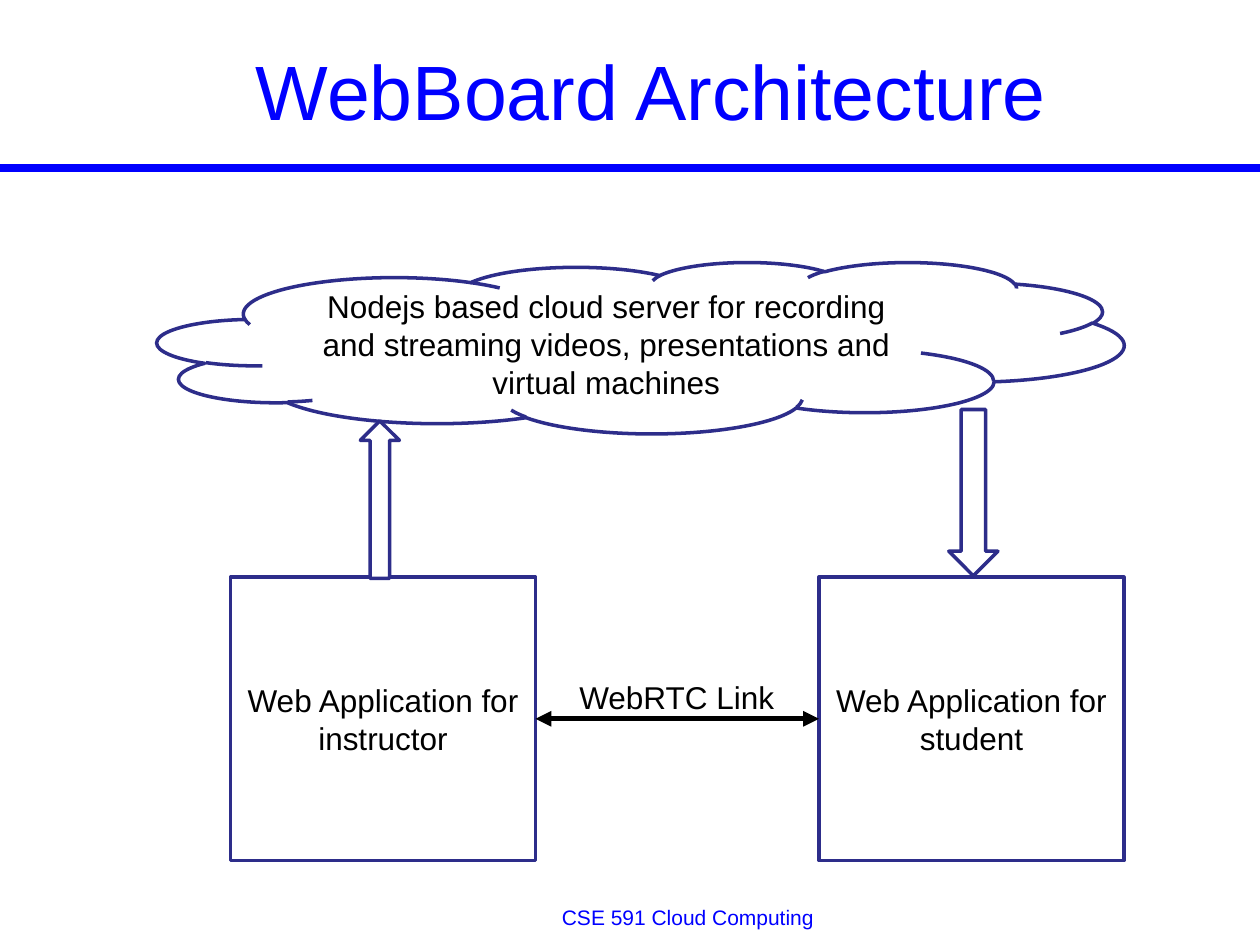
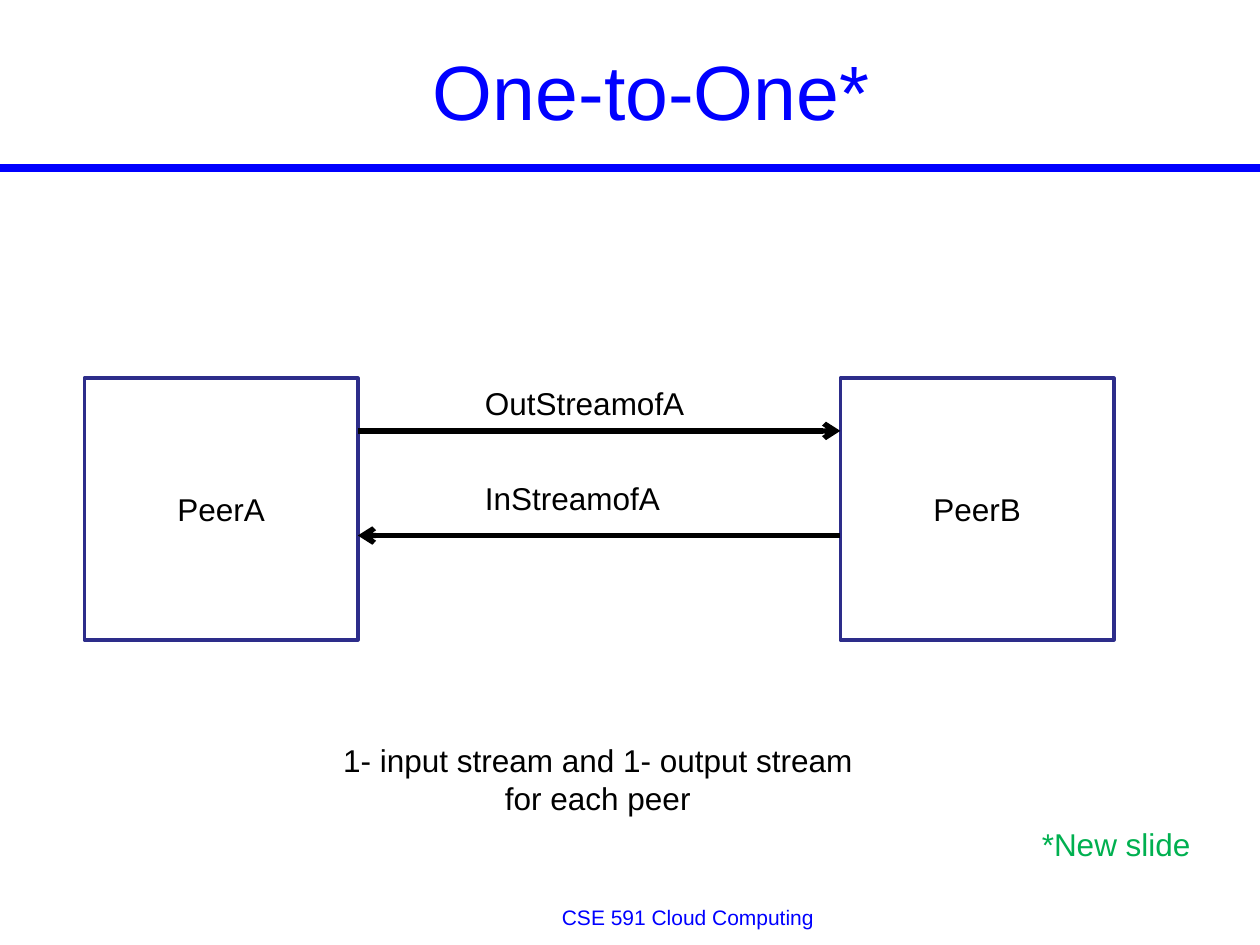
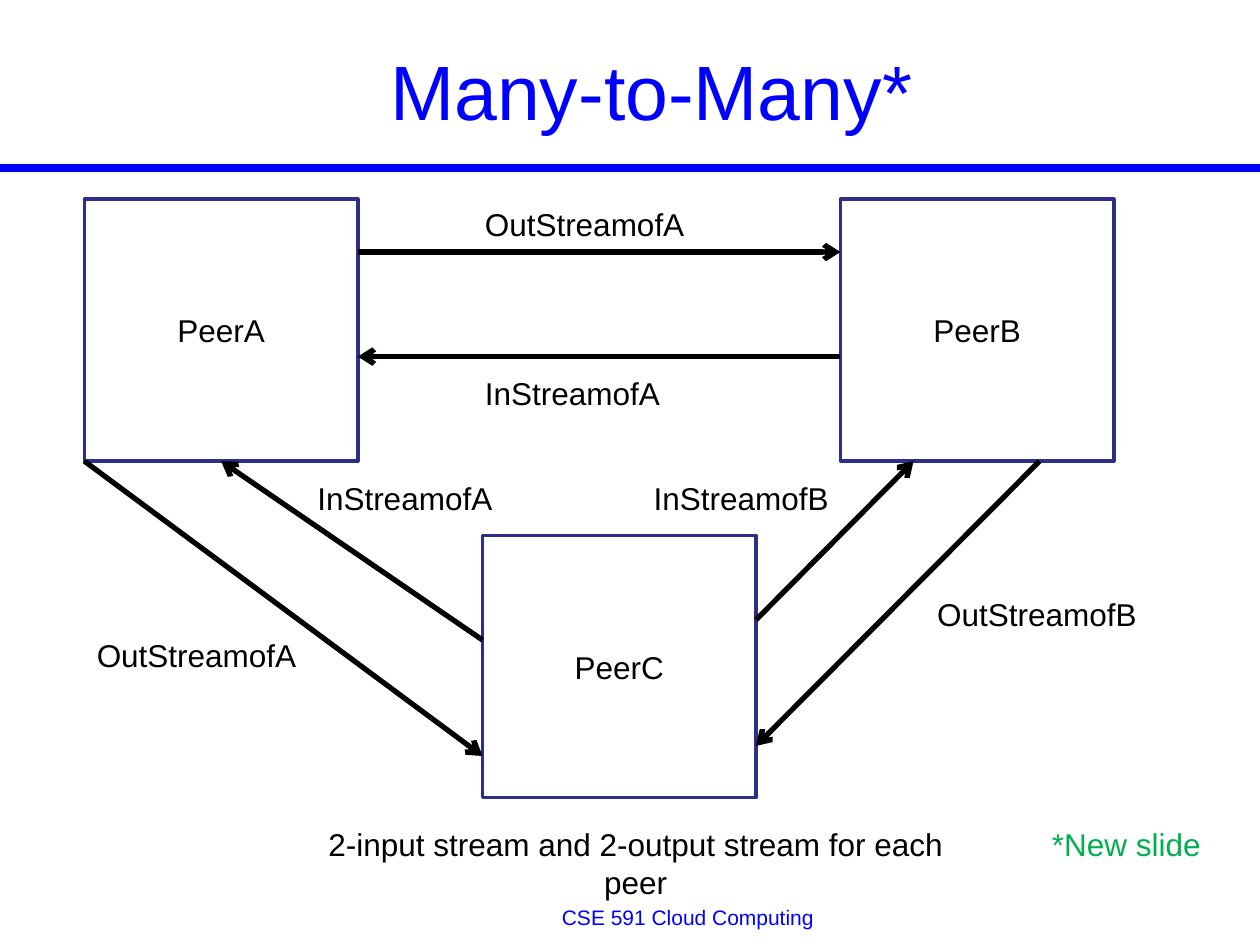
from lxml.etree import SubElement
from pptx import Presentation
from pptx.dml.color import RGBColor
from pptx.enum.shapes import MSO_CONNECTOR, MSO_SHAPE
from pptx.enum.text import MSO_ANCHOR, MSO_AUTO_SIZE, PP_ALIGN
from pptx.oxml.ns import qn
from pptx.util import Inches, Pt

COLORS = {
    "accent": "0000FF",
    "outline": "2D2D8A",
    "fill": "FFFFFF",
    "text": "000000",
    "note": "00B050",
}
FONT = "Arial"
TITLE_BOX = (0.67, 0.17, 9, 1.08)
FOOTER_BOX = (1.92, 7.17, 7.08, 0.26)
PEER_WIDTH, PEER_HEIGHT = 2.17, 2.08
LABEL_WIDTH, LABEL_HEIGHT = 1.83, 0.4
LEFT, BOTTOM, RIGHT = 1, 2, 3


def color(name):
    return RGBColor.from_string(COLORS[name])


def inches(values):
    return [Inches(value) for value in values]


def write(shape, text, size=18, color_name="text", align=PP_ALIGN.LEFT):
    frame = shape.text_frame
    frame.word_wrap = True
    frame.text = text
    paragraph = frame.paragraphs[0]
    paragraph.alignment = align
    paragraph.font.name = FONT
    paragraph.font.size = Pt(size)
    paragraph.font.color.rgb = color(color_name)
    return paragraph


def add_text(slide, box, text, **style):
    text_box = slide.shapes.add_textbox(*inches(box))
    write(text_box, text, **style)
    return text_box


def add_outlined(slide, kind, box, text=""):
    shape = slide.shapes.add_shape(kind, *inches(box))
    shape.shadow.inherit = False
    shape.fill.solid()
    shape.fill.fore_color.rgb = color("fill")
    shape.line.color.rgb = color("outline")
    shape.line.width = Pt(2)
    if text:
        write(shape, text, align=PP_ALIGN.CENTER)
        shape.text_frame.vertical_anchor = MSO_ANCHOR.MIDDLE
    return shape


def add_line(slide, start, end, color_name="text", width=3, head=None, tail=None):
    """Draw a straight line; head and tail name the arrowheads at start and end."""
    line = slide.shapes.add_connector(
        MSO_CONNECTOR.STRAIGHT, *inches(start), *inches(end))
    line.line.color.rgb = color(color_name)
    line.line.width = Pt(width)
    properties = line.element.spPr
    outline = properties.find(qn("a:ln"))
    for tag, arrowhead in (("a:headEnd", head), ("a:tailEnd", tail)):
        if arrowhead:
            SubElement(outline, qn(tag), type=arrowhead)
    SubElement(properties, qn("a:effectLst"))
    return line


def add_stream(slide, start, end):
    return add_line(slide, start, end, tail="arrow")


def add_label(slide, left, top, text, width=LABEL_WIDTH):
    add_text(slide, (left, top, width, LABEL_HEIGHT), text)


def add_peer(slide, left, top, name):
    return add_outlined(
        slide, MSO_SHAPE.RECTANGLE, (left, top, PEER_WIDTH, PEER_HEIGHT), name)


def add_peer_pair(slide, left, top, in_label_offset):
    """Place PeerA and PeerB with a stream each way; return both peers."""
    right = left + 6
    inner_left = left + PEER_WIDTH
    peers = [add_peer(slide, left, top, "PeerA"), add_peer(slide, right, top, "PeerB")]
    out_y, in_y = top + 0.42, top + 1.25
    add_stream(slide, (inner_left, out_y), (right, out_y))
    add_stream(slide, (right, in_y), (inner_left, in_y))
    add_label(slide, left + 3.08, top, "OutStreamofA")
    add_label(slide, left + 3.08, top + in_label_offset, "InStreamofA")
    return peers


def add_caption(slide, box, text):
    add_text(slide, box, text, align=PP_ALIGN.CENTER)


def add_new_slide_note(slide, left):
    add_text(slide, (left, 6.5, 10 - left, LABEL_HEIGHT), "*New slide", color_name="note")


def add_titled_slide(presentation, layout, title_text):
    slide = presentation.slides.add_slide(layout)
    title = slide.shapes.title
    title.left, title.top, title.width, title.height = inches(TITLE_BOX)
    write(title, title_text, 44, "accent", PP_ALIGN.CENTER)
    title.text_frame.vertical_anchor = MSO_ANCHOR.MIDDLE
    title.text_frame.auto_size = MSO_AUTO_SIZE.NONE
    return slide


def move_band_and_footer_to_layout(slide, layout):
    """Draw the shared parts on a slide, then move them to its layout."""
    band = add_line(slide, (0, 1.33), (10, 1.33), "accent", 4.5)
    footer = add_text(slide, FOOTER_BOX, "CSE 591 Cloud Computing",
                      size=12, color_name="accent", align=PP_ALIGN.CENTER)
    footer.text_frame.paragraphs[0].line_spacing = 0.8
    for shape in (band, footer):
        layout.shapes.element.append(shape.element)


def draw_architecture(slide, left, top):
    add_outlined(
        slide, MSO_SHAPE.CLOUD, (left, top, 7.67, 1.36),
        "Nodejs based cloud server for recording and streaming videos, "
        "presentations and virtual machines")
    instructor, student = [
        add_outlined(slide, MSO_SHAPE.RECTANGLE, (left + offset, top + 2.5, 2.42, 2.25),
                     f"Web Application for {role}")
        for offset, role in ((0.58, "instructor"), (5.25, "student"))
    ]
    add_outlined(slide, MSO_SHAPE.DOWN_ARROW, (left + 6.28, top + 1.17, 0.39, 1.32))
    add_outlined(slide, MSO_SHAPE.UP_ARROW, (left + 1.61, top + 1.26, 0.31, 1.25))
    link = add_line(slide, (left + 3, top + 3.63), (left + 5.25, top + 3.63),
                    head="triangle", tail="triangle")
    link.begin_connect(instructor, RIGHT)
    link.end_connect(student, LEFT)
    add_label(slide, left + 3.25, top + 3.25, "WebRTC Link")


def draw_one_to_one(slide, left, top):
    add_peer_pair(slide, left, top, 0.75)
    add_caption(slide, (left + 1.91, top + 2.83, 4.33, 0.7),
                "1- input stream and 1- output stream for each peer")
    add_new_slide_note(slide, 8.17)


def draw_many_to_many(slide, left, top):
    peer_a, _ = add_peer_pair(slide, left, top, 1.34)
    c_left, c_top = left + 3.16, top + 2.67
    c_right = c_left + PEER_WIDTH
    add_peer(slide, c_left, c_top, "PeerC")

    bottom = top + PEER_HEIGHT
    add_stream(slide, (left, bottom), (c_left, c_top + 1.75))
    to_peer_a = add_stream(slide, (c_left, c_top + 0.83), (left + 1.08, bottom))
    to_peer_a.end_connect(peer_a, BOTTOM)
    add_stream(slide, (c_right, c_top + 0.67), (left + 6.58, bottom))
    add_stream(slide, (left + 7.58, bottom), (c_right, c_top + 1.67))

    add_label(slide, left, top + 3.42, "OutStreamofA")
    add_label(slide, left + 1.75, top + 2.17, "InStreamofA", 1.67)
    add_label(slide, left + 4.42, top + 2.17, "InStreamofB", 1.6)
    add_label(slide, left + 6.67, top + 3.09, "OutStreamofB", 1.8)
    add_caption(slide, (left + 1.75, top + 4.92, 5.25, 0.7),
                "2-input stream and 2-output stream for each peer")
    add_new_slide_note(slide, 8.25)


def main():
    presentation = Presentation()
    presentation.slide_width, presentation.slide_height = Inches(10), Inches(7.5)
    layout = presentation.slide_layouts.get_by_name("Title Only")

    architecture = add_titled_slide(presentation, layout, "WebBoard Architecture")
    move_band_and_footer_to_layout(architecture, layout)
    draw_architecture(architecture, 1.25, 2.08)
    draw_one_to_one(add_titled_slide(presentation, layout, "One-to-One*"), 0.67, 3)
    draw_many_to_many(add_titled_slide(presentation, layout, "Many-to-Many*"), 0.67, 1.58)

    presentation.save("out.pptx")


if __name__ == "__main__":
    main()
